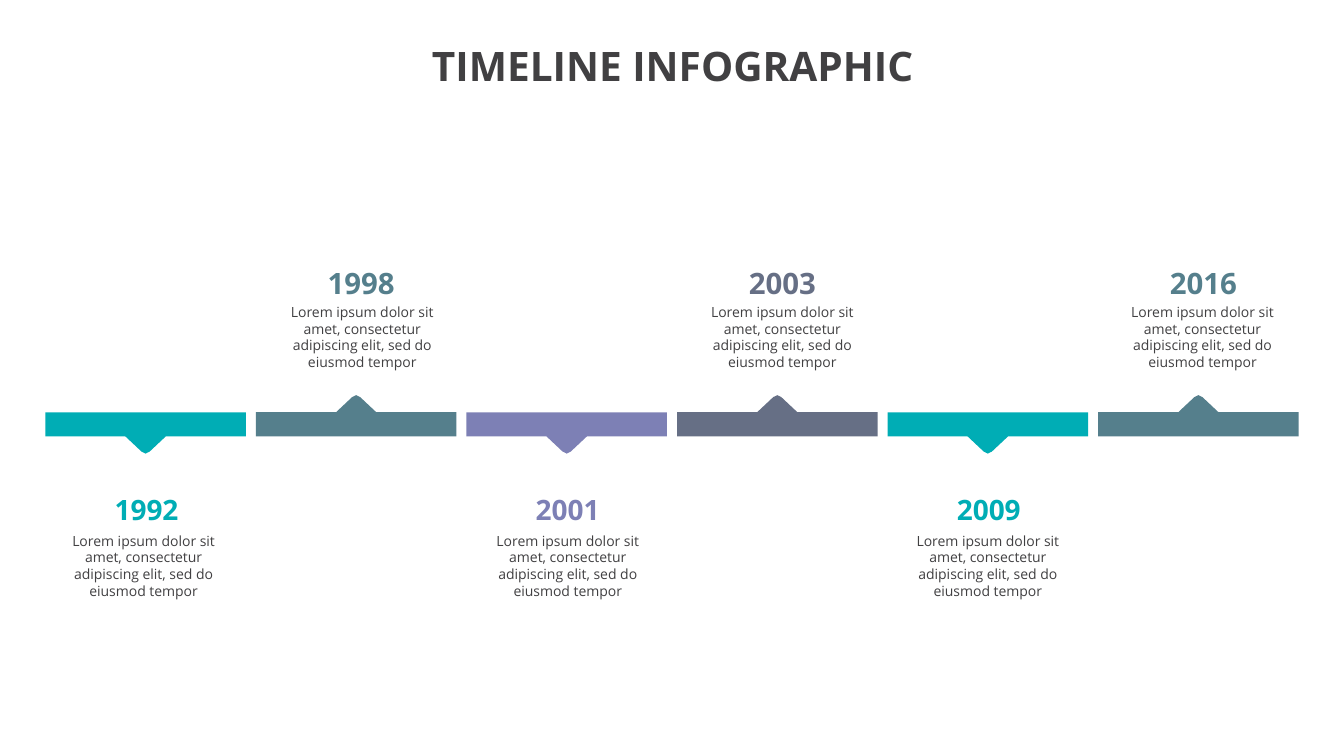
from pptx import Presentation
from pptx import util as u
from pptx.dml.color import RGBColor
from pptx.enum import text

TEAL = RGBColor(0x00, 0xAD, 0xB5)
STEEL = RGBColor(0x55, 0x7F, 0x8C)
VIOLET = RGBColor(0x7D, 0x80, 0xB5)
SLATE = RGBColor(0x66, 0x6F, 0x85)
CHARCOAL = RGBColor(0x41, 0x40, 0x42)

FONT = "Open Sans"
SLIDE_WIDTH, SLIDE_HEIGHT = 13.34, 7.5
MARGIN, COLUMN, GAP = 0.45, 2.09, 0.1
BAR_WIDTH = COLUMN - GAP
BAR_TOP, BAR_BOTTOM = 4.09, 4.33
POINTER = [(-0.2, 0), (-0.04, 0.15), (-0.02, 0.16), (0, 0.17),
           (0.02, 0.16), (0.04, 0.15), (0.2, 0)]
CAPTION_WIDTH, CAPTION_HEIGHT = 1.69, 0.77
CAPTION = "Lorem ipsum dolor sit amet, consectetur adipiscing elit, sed do eiusmod tempor"

MILESTONES = [
    ("1992", TEAL, -0.02),
    ("1998", STEEL, 0.06),
    ("2001", VIOLET, 0.01),
    ("2003", SLATE, 0.05),
    ("2009", TEAL, 0),
    ("2016", STEEL, 0.04),
]


def add_text(slide, words, center, top, width, height, size, color, bold=True, wrap=False):
    box = slide.shapes.add_textbox(*map(u.Inches, (center - width / 2, top, width, height)))
    frame = box.text_frame
    frame.word_wrap = wrap
    frame.auto_size = text.MSO_AUTO_SIZE.SHAPE_TO_FIT_TEXT
    if not wrap:
        frame.margin_left = frame.margin_right = frame.margin_top = frame.margin_bottom = 0
    paragraph = frame.paragraphs[0]
    paragraph.alignment = text.PP_ALIGN.CENTER
    run = paragraph.add_run()
    run.text = words
    run.font.name = FONT
    run.font.size = u.Pt(size)
    run.font.bold = bold
    run.font.color.rgb = color


def add_bar(slide, center, color, upward):
    near, far, direction = (BAR_TOP, BAR_BOTTOM, -1) if upward else (BAR_BOTTOM, BAR_TOP, 1)
    left, right = center - BAR_WIDTH / 2, center + BAR_WIDTH / 2
    pointer = [(center + x, near + direction * depth) for x, depth in POINTER]
    outline = [(left, far), (left, near), *pointer, (right, near), (right, far)]
    start, *corners = [(u.Inches(x), u.Inches(y)) for x, y in outline]
    builder = slide.shapes.build_freeform(*start)
    builder.add_line_segments(corners)
    shape = builder.convert_to_shape()
    shape.shadow.inherit = False
    shape.fill.solid()
    shape.fill.fore_color.rgb = color
    shape.line.fill.background()


def add_milestone(slide, index, year, color, caption_shift):
    upward = index % 2 == 1
    center = MARGIN + index * COLUMN + BAR_WIDTH / 2
    add_bar(slide, center, color, upward)
    if upward:
        add_text(slide, year, center + 0.05, 2.63, 0.67, 0.35, 21, color)
    else:
        add_text(slide, year, center + 0.01, 4.89, 0.64, 0.33, 20, color)
    add_text(slide, CAPTION, center + caption_shift, 2.96 if upward else 5.23,
             CAPTION_WIDTH, CAPTION_HEIGHT, 10, CHARCOAL, bold=False, wrap=True)


def main():
    presentation = Presentation()
    presentation.slide_width = u.Inches(SLIDE_WIDTH)
    presentation.slide_height = u.Inches(SLIDE_HEIGHT)
    slide = presentation.slides.add_slide(presentation.slide_layouts[6])
    add_text(slide, "TIMELINE INFOGRAPHIC", SLIDE_WIDTH / 2 + 0.01, 0.41, 4.79, 0.48, 29, CHARCOAL)
    for index, milestone in enumerate(MILESTONES):
        add_milestone(slide, index, *milestone)
    presentation.save("out.pptx")


if __name__ == "__main__":
    main()
